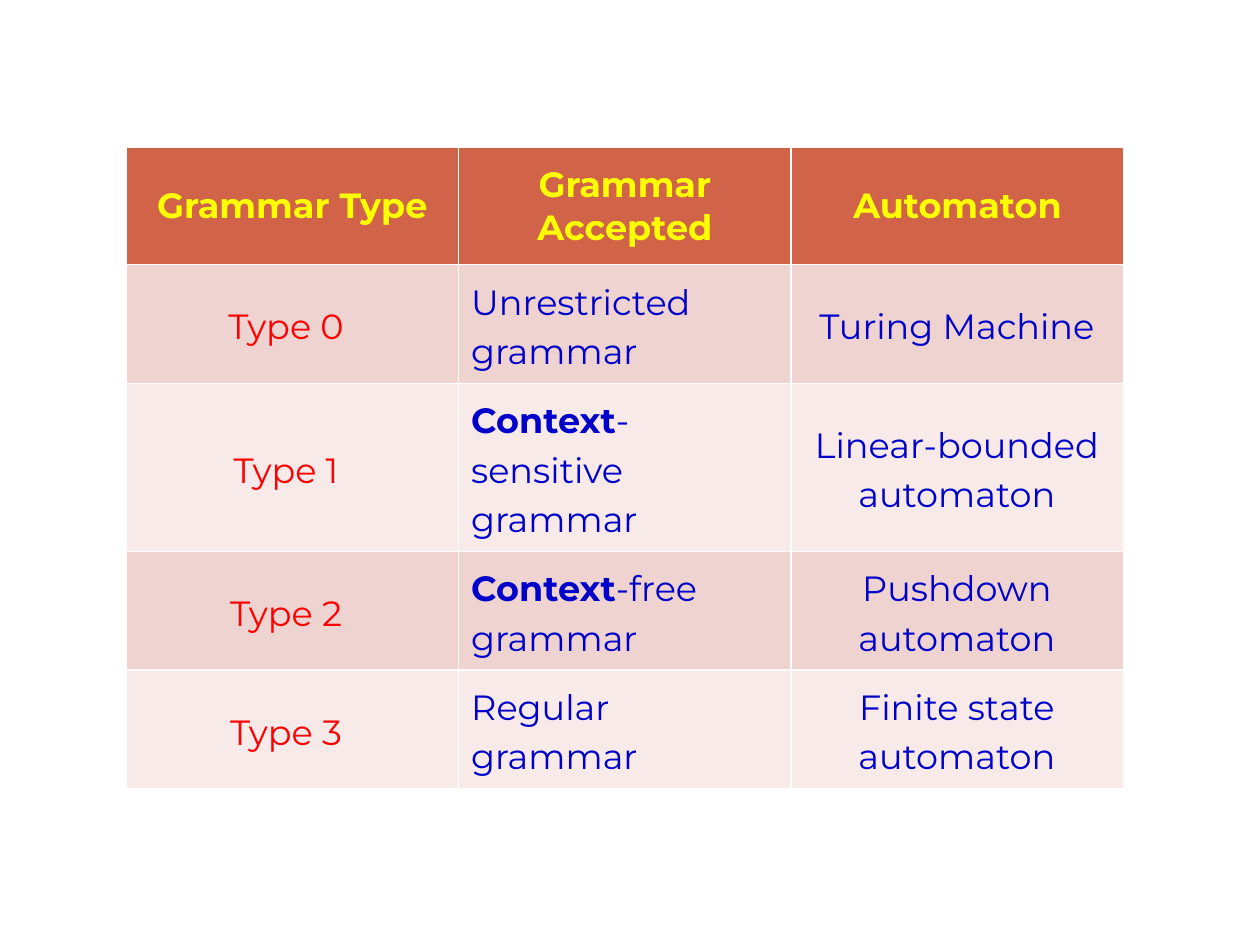
from pptx import Presentation
from pptx import util as u
from pptx.dml import color
from pptx.enum import text

COLORS = {
    "header": "D16349",
    "odd_band": "EED3D0",
    "even_band": "F7EAE9",
    "header_text": "FFFF00",
    "type_text": "FF0000",
    "body_text": "0000CA",
}
HEADINGS = ["Grammar Type", "Grammar Accepted", "Automaton"]
GRAMMARS = [
    ("Type 0", "", "Unrestricted grammar", "Turing Machine"),
    ("Type 1", "Context", "-sensitive grammar", "Linear-bounded automaton"),
    ("Type 2", "Context", "-free grammar", "Pushdown automaton"),
    ("Type 3", "", "Regular grammar", "Finite state automaton"),
]
ROW_HEIGHTS = [0.93, 0.93, 1.31, 0.93, 0.93]
CENTER, LEFT = text.PP_ALIGN.CENTER, text.PP_ALIGN.LEFT
HEADER_FORMAT = {"margins": (0.1, 0.05, 0.1, 0.05), "align": CENTER,
                 "color": "header_text", "spacing": None}
COLUMN_FORMATS = [
    {"margins": (0, 0.08, 0.1, 0.08), "align": CENTER, "color": "type_text", "spacing": 1.15},
    {"margins": (0.1, 0.08, 0.1, 0.08), "align": LEFT, "color": "body_text", "spacing": 1.15},
    {"margins": (0, 0.08, 0.01, 0.08), "align": CENTER, "color": "body_text", "spacing": 1.15},
]


def set_values(target, values):
    for name, value in values.items():
        setattr(target, name, value)


def rgb(name):
    return color.RGBColor.from_string(COLORS[name])


def fill_cell(cell, pieces, fill, style):
    cell.fill.solid()
    cell.fill.fore_color.rgb = rgb(fill)
    sides = ("margin_left", "margin_top", "margin_right", "margin_bottom")
    set_values(cell, {side: u.Inches(size) for side, size in zip(sides, style["margins"])})
    cell.vertical_anchor = text.MSO_ANCHOR.MIDDLE
    para = cell.text_frame.paragraphs[0]
    set_values(para, {"alignment": style["align"], "line_spacing": style["spacing"]})
    for words, bold in pieces:
        if words:
            span = para.add_run()
            span.text = words
            set_values(span.font, {"name": "Montserrat", "size": u.Pt(20), "bold": bold})
            span.font.color.rgb = rgb(style["color"])


def add_grammar_table(page, left, top, width, height):
    box = [u.Inches(value) for value in (left, top, width, height)]
    table = page.shapes.add_table(len(ROW_HEIGHTS), len(HEADINGS), *box).table
    for column in table.columns:
        column.width = u.Inches(width / len(HEADINGS))
    for row, row_height in zip(table.rows, ROW_HEIGHTS):
        row.height = u.Inches(height * row_height / sum(ROW_HEIGHTS))
    for column, heading in enumerate(HEADINGS):
        fill_cell(table.cell(0, column), [(heading, True)], "header", HEADER_FORMAT)
    for row, (kind, stress, grammar, automaton) in enumerate(GRAMMARS, 1):
        band = "odd_band" if row % 2 else "even_band"
        contents = [[(kind, False)], [(stress, True), (grammar, False)], [(automaton, False)]]
        for column, pieces in enumerate(contents):
            fill_cell(table.cell(row, column), pieces, band, COLUMN_FORMATS[column])


def main():
    deck = Presentation()
    set_values(deck, {"slide_width": u.Inches(10), "slide_height": u.Inches(7.5)})
    page = deck.slides.add_slide(deck.slide_layouts[6])
    add_grammar_table(page, 1, 1.17, 7.92, 5.03)
    deck.save("out.pptx")


if __name__ == "__main__":
    main()
